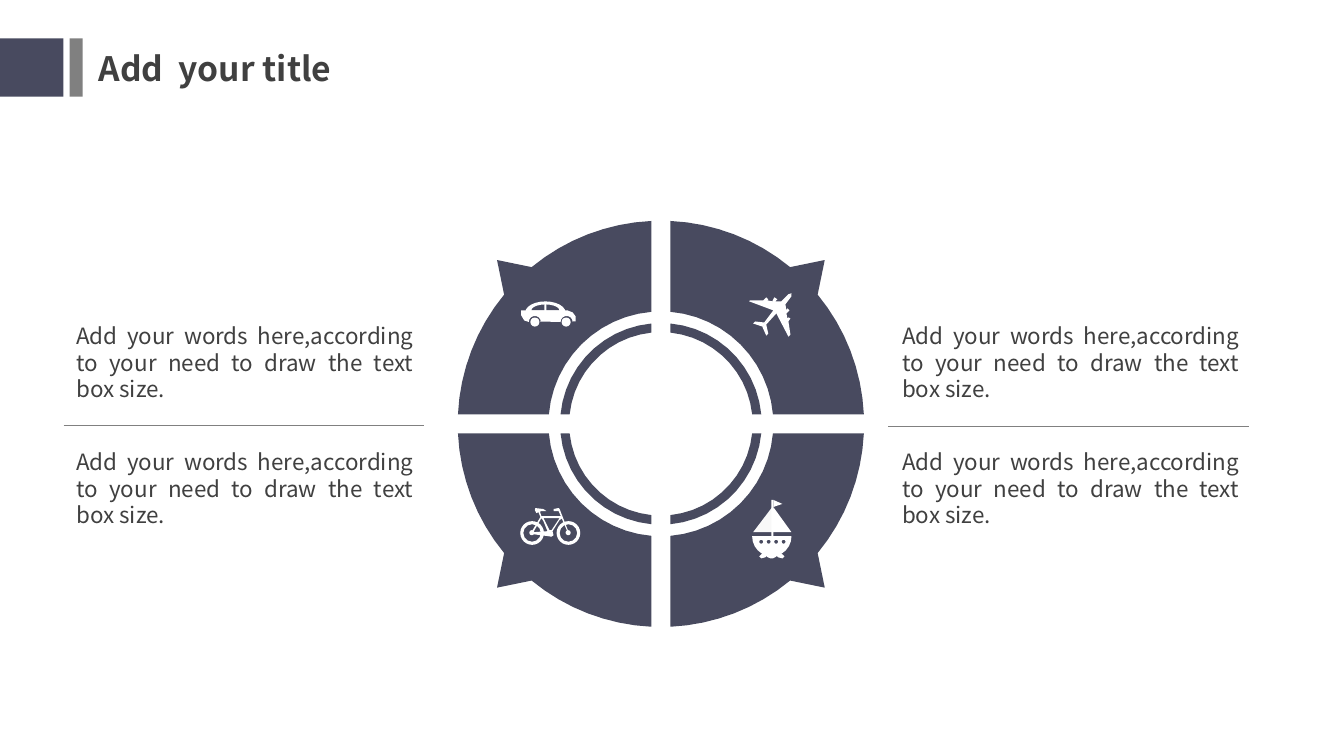
import math
from dataclasses import dataclass

from lxml import etree
from pptx import Presentation
from pptx import util as u
from pptx.dml.color import RGBColor
from pptx.enum import shapes as kinds, text as styles
from pptx.oxml import ns

Point = tuple[float, float]
Contour = list[Point]

# Grid: 1333 columns by 750 rows of square cells
COLUMNS, ROWS = 1333, 750
CELL = u.Inches(0.01)
FINE = 100  # outline steps in one cell
TOLERANCE = 0.2  # largest gap between a curve and its chords, in cells


@dataclass(frozen=True)
class Theme:
    font: str = "Noto Sans CJK SC"
    navy: str = "484A5F"
    gray: str = "808080"
    ink: str = "404040"
    white: str = "FFFFFF"
    sail: str = "F8F8F8"
    title_size: int = 24
    body_size: int = 16
    body_line: int = 19
    rule_width: float = 0.25


@dataclass(frozen=True)
class Box:
    left: float
    top: float
    width: float
    height: float
    color: str
    kind: kinds.MSO_SHAPE = kinds.MSO_SHAPE.RECTANGLE
    thickness: float = 0  # share of the width, for a donut


@dataclass(frozen=True)
class Outline:
    contours: list[Contour]
    color: str


@dataclass(frozen=True)
class Side:
    rule_left: float
    rule_top: float
    text_left: float


THEME = Theme()
CENTER: Point = (655.5, 420.5)
HALF_GAP = 9.5
QUADRANTS = [(-1, -1), (1, -1), (-1, 1), (1, 1)]
SIDES = [Side(63, 422, 66), Side(881, 423, 885)]
TEXT_ROWS = [313, 438]
BODY_TEXT = "Add your words here,according to your need to draw the text box size."


def cells(count: float) -> u.Emu:
    return u.Emu(round(count * CELL))


def arc(center: Point, radius_x: float, radius_y: float,
        start: float = 0, end: float = 360) -> Contour:
    """Points on an ellipse; angles in degrees, clockwise from the right."""
    widest = math.sqrt(8 * TOLERANCE / max(radius_x, radius_y))
    steps = math.ceil(math.radians(abs(end - start)) / widest)
    angles = [math.radians(start + (end - start) * i / steps) for i in range(steps + 1)]
    return [(center[0] + radius_x * math.cos(a), center[1] + radius_y * math.sin(a))
            for a in angles]


def band(quadrant: tuple[int, int], inner: float, outer: float,
         pointer: float = 0) -> Contour:
    """A quarter ring cut by the cross gap, with an optional diagonal pointer."""
    def sweep(radius: float, start: float, end: float) -> Contour:
        return arc((0, 0), radius, radius, start, end)

    outer_trim = math.degrees(math.asin(HALF_GAP / outer))
    inner_trim = math.degrees(math.asin(HALF_GAP / inner))
    if pointer:
        edge = sweep(outer, outer_trim, 39.5) + [(pointer, pointer)]
        edge += sweep(outer, 50.5, 90 - outer_trim)
    else:
        edge = sweep(outer, outer_trim, 90 - outer_trim)
    edge += sweep(inner, 90 - inner_trim, inner_trim)
    return [(CENTER[0] + quadrant[0] * x, CENTER[1] + quadrant[1] * y) for x, y in edge]


def paint(shape, color: str) -> None:
    shape.shadow.inherit = False
    shape.fill.solid()
    shape.fill.fore_color.rgb = RGBColor.from_string(color)
    shape.line.fill.background()


def draw_box(slide, box: Box) -> None:
    frame = map(cells, (box.left, box.top, box.width, box.height))
    shape = slide.shapes.add_shape(box.kind, *frame)
    if box.thickness:
        shape.adjustments[0] = box.thickness
    paint(shape, box.color)


def draw_outline(slide, outline: Outline) -> None:
    scaled = [[(x * FINE, y * FINE) for x, y in contour] for contour in outline.contours]
    builder = slide.shapes.build_freeform(*scaled[0][0], scale=CELL / FINE)
    for index, contour in enumerate(scaled):
        if index:
            builder.move_to(*contour[0])
        builder.add_line_segments(contour[1:], close=True)
    paint(builder.convert_to_shape(), outline.color)


def draw_rule(slide, side: Side) -> None:
    top = cells(side.rule_top)
    rule = slide.shapes.add_connector(kinds.MSO_CONNECTOR.STRAIGHT, cells(side.rule_left),
                                      top, cells(side.rule_left + 358), top)
    rule.line.color.rgb = RGBColor.from_string(THEME.gray)
    rule.line.width = u.Pt(THEME.rule_width)
    etree.SubElement(rule._element.spPr, ns.qn("a:effectLst"))


def write(shape, words: str, size: int, bold: bool, align: styles.PP_ALIGN) -> None:
    frame = shape.text_frame
    frame.text = words
    frame.word_wrap = True
    paragraph = frame.paragraphs[0]
    paragraph.alignment = align
    font = paragraph.font
    font.name, font.size, font.bold = THEME.font, u.Pt(size), bold
    font.color.rgb = RGBColor.from_string(THEME.ink)


def draw_title(slide) -> None:
    title = slide.shapes.title
    title.left, title.top, title.width, title.height = map(cells, (88, 43, 344, 50))
    write(title, "Add  your title", THEME.title_size, True, styles.PP_ALIGN.LEFT)
    title.text_frame.auto_size = styles.MSO_AUTO_SIZE.NONE
    title.text_frame.vertical_anchor = styles.MSO_ANCHOR.MIDDLE


def draw_body(slide, left: float, top: float) -> None:
    box = slide.shapes.add_textbox(*map(cells, (left, top, 354, 91)))
    write(box, BODY_TEXT, THEME.body_size, False, styles.PP_ALIGN.JUSTIFY)
    box.text_frame.margin_top = cells(7)
    box.text_frame.paragraphs[0].line_spacing = u.Pt(THEME.body_line)
    box.text_frame.auto_size = styles.MSO_AUTO_SIZE.SHAPE_TO_FIT_TEXT


# Parts of the icons
OVAL, DONUT = kinds.MSO_SHAPE.OVAL, kinds.MSO_SHAPE.DONUT
WHITE = THEME.white
CAR = [
    Outline([[(517, 308), (563, 308), (568, 310), (571, 314), (571, 319), (568, 319),
              *arc((562, 319.5), 6, 6, 0, -180), (536, 319),
              *arc((530.5, 319.5), 6, 6, 0, -180), (520, 318), (517, 313)]], WHITE),
    Outline([arc((541, 310), 20, 11, 180, 360), arc((541, 308), 14, 6, 180, 360)], WHITE),
    Box(540, 300, 2, 9, WHITE),
    *[Box(left, 315, 9, 9, WHITE, OVAL) for left in (526, 557)],
]
PLANE = [
    Outline([[(779, 302), (780, 308), (781, 306), (783, 308), (780, 311), (781, 316),
              (782, 315), (784, 316), (782, 319), (784, 332), (782, 334), (770, 311),
              (760, 322), (762, 331), (760, 333), (756, 324), (773, 303), (785, 291),
              (785, 294)]], WHITE),
    Outline([[(775, 299), (769, 299), (771, 297), (768, 295), (766, 299), (761, 298),
              (762, 297), (760, 295), (757, 298), (744, 298), (743, 299), (767, 308),
              (758, 320), (749, 319), (747, 321), (756, 324), (785, 291), (782, 292)]], WHITE),
]
BICYCLE = [
    *[Box(left, 517, 23.5, 23.5, WHITE, DONUT, 0.13) for left in (516, 552)],
    *[Box(left, 526, 5, 5, WHITE, OVAL) for left in (525, 561)],
    Outline([[(564, 528), (555, 505), (554, 504), (549, 505), (549, 507), (554, 507),
              (563, 528)]], WHITE),
    Outline([[(557, 512), (537, 512), (535, 506), (534, 508), (536, 513), (527, 528),
              (528, 529), (529, 530), (544, 532), (547, 532.5), (549, 531), (548, 527),
              (555, 516), (558, 514)],
             [(529, 528), (537, 514), (539, 517), (543, 527)],
             [(547, 526), (545, 526), (539, 514), (555, 514)]], WHITE),
    Outline([[(542, 507), (539, 505), (531, 504), (530.5, 506), (532, 509), (537, 507)]], WHITE),
]
LEFT_WAVE = [(758, 547), (757, 549), (755, 550), (753, 552), (755, 554), (759, 553),
             (762, 550), (762, 547), (760, 546)]
BOAT = [
    Outline([arc((765.5, 532), 19.5, 20, 0, 180),
             *[arc((755 + 7.4 * i, 537.5), 2, 2) for i in range(4)]], WHITE),
    Outline([[(766, 503), (747, 528), (767, 528)]], THEME.sail),
    Outline([[(767, 503), (785, 528), (766, 528)]], WHITE),
    Box(765, 496, 2, 36, WHITE),
    Outline([LEFT_WAVE, [(2 * 765.5 - x, y) for x, y in LEFT_WAVE]], WHITE),
    Outline([arc((765.3, 547), 7, 7, 0, 180) + arc((765.3, 547), 3.5, 3.5, 180, 0)], WHITE),
    Outline([[(767, 496), (776, 500), (767, 503)]], WHITE),
]


def main() -> None:
    presentation = Presentation()
    presentation.slide_width, presentation.slide_height = cells(COLUMNS), cells(ROWS)
    slide = presentation.slides.add_slide(presentation.slide_layouts[5])

    # Header
    draw_box(slide, Box(0, 38, 63, 58, THEME.navy))
    draw_box(slide, Box(69, 38, 13, 58, THEME.gray))
    draw_title(slide)

    # Inner ring, then the four pointed quarters
    draw_outline(slide, Outline([band(q, 91, 100) for q in QUADRANTS], THEME.navy))
    for quadrant in QUADRANTS:
        draw_outline(slide, Outline([band(quadrant, 111.5, 201.5, 162.5)], THEME.navy))

    # Icons
    for part in CAR + PLANE + BICYCLE + BOAT:
        if isinstance(part, Box):
            draw_box(slide, part)
        else:
            draw_outline(slide, part)

    # Side texts
    for side in SIDES:
        draw_rule(slide, side)
        for top in TEXT_ROWS:
            draw_body(slide, side.text_left, top)

    presentation.save("out.pptx")


if __name__ == "__main__":
    main()
